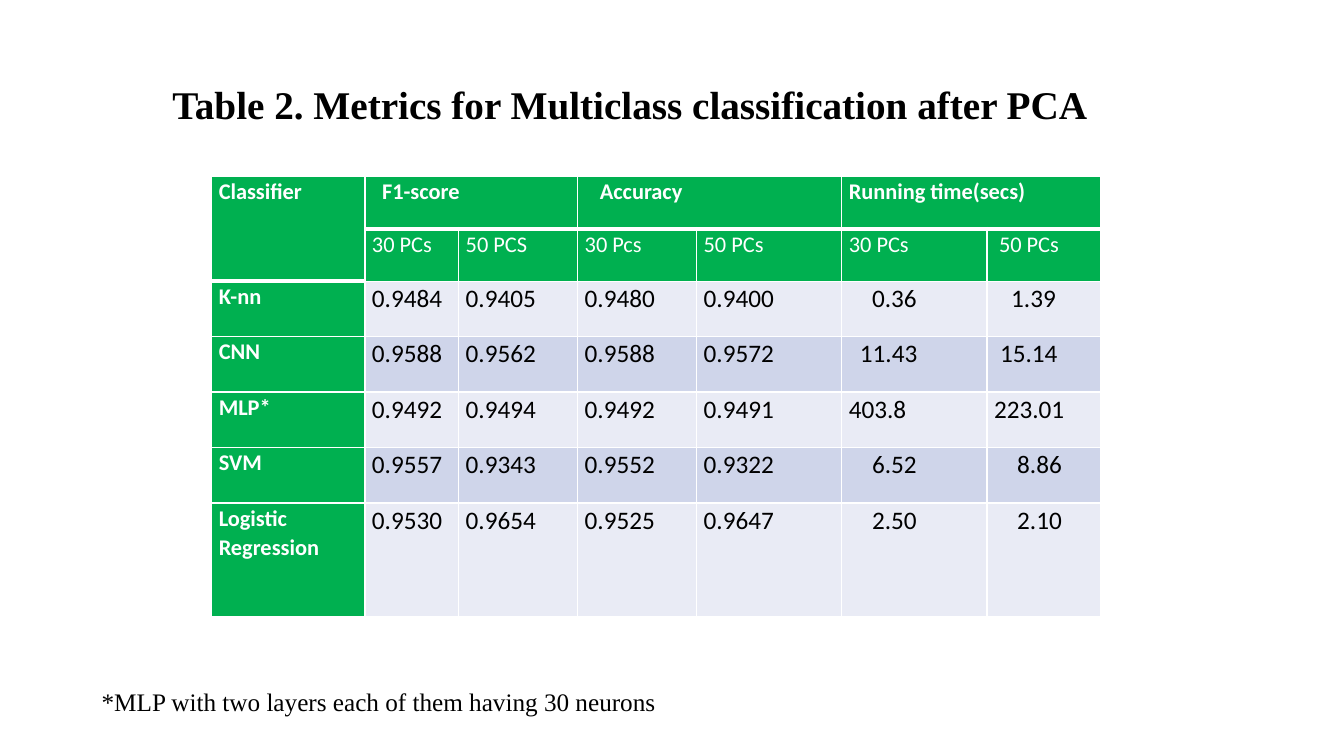
from pptx import Presentation
from pptx import util as u
from pptx.dml.color import RGBColor
from pptx.enum import text
from pptx.oxml import parse_xml
from pptx.oxml.ns import nsdecls

COLORS = {"green": "00B050", "light": "E9EBF5", "dark": "CFD5EA",
          "white": "FFFFFF", "black": "000000"}
COL_WIDTHS = [1.52, 0.93, 1.18, 1.18, 1.44, 1.44, 1.13]
ROW_HEIGHTS = [0.52] * 2 + [0.55] * 4 + [1.13]
ROWS = [
    ["Classifier", "F1-score", "", "Accuracy", "", "Running time(secs)", ""],
    ["", "30 PCs", "50 PCS", "30 Pcs", "50 PCs", "30 PCs", "50 PCs"],
    ["K-nn", "0.9484", "0.9405", "0.9480", "0.9400", "0.36", "1.39"],
    ["CNN", "0.9588", "0.9562", "0.9588", "0.9572", "11.43", "15.14"],
    ["MLP*", "0.9492", "0.9494", "0.9492", "0.9491", "403.8", "223.01"],
    ["SVM", "0.9557", "0.9343", "0.9552", "0.9322", "6.52", "8.86"],
    ["Logistic Regression", "0.9530", "0.9654", "0.9525", "0.9647", "2.50", "2.10"],
]
MERGES = [((0, 0), (1, 0)), ((0, 1), (0, 2)), ((0, 3), (0, 4)), ((0, 5), (0, 6))]
INDENTS = {(0, 1): 0.1, (0, 3): 0.15, (1, 6): 0.05,
           (2, 5): 0.23, (2, 6): 0.17, (3, 5): 0.11, (3, 6): 0.06,
           (5, 5): 0.23, (5, 6): 0.23, (6, 5): 0.23, (6, 6): 0.23}


def rule_below(row, col):
    """Return the width in points of the rule under a cell."""
    return 3 if row == 0 or (row, col) == (1, 0) else 1


class SlideBuilder:
    """Hold the style and the current slide."""

    def __init__(self, prs):
        """Add a title-only slide."""
        self.slide = prs.slides.add_slide(prs.slide_layouts[5])
        self.heading_font = "Times New Roman"
        self.table_font = "Calibri"

    def style_text(self, p, content, font, size, color, bold=False):
        """Fill a paragraph and format its runs."""
        p.text = content
        for r in p.runs:
            r.font.name, r.font.size, r.font.bold = font, u.Pt(size), bold
            r.font.color.rgb = RGBColor.from_string(COLORS[color])

    def justify(self, p):
        """Justify a paragraph with slightly open lines."""
        p.alignment = text.PP_ALIGN.JUSTIFY
        p.line_spacing = 1.07

    def place(self, sp, left, top, width, height):
        """Position a text shape and return its first paragraph."""
        sp.left, sp.top, sp.width, sp.height = map(u.Inches, (left, top, width, height))
        tf = sp.text_frame
        tf.word_wrap = True
        tf.auto_size = text.MSO_AUTO_SIZE.SHAPE_TO_FIT_TEXT
        tf.vertical_anchor = text.MSO_ANCHOR.TOP
        return tf.paragraphs[0]

    def title(self, content, *box):
        """Format the title placeholder."""
        p = self.place(self.slide.shapes.title, *box)
        self.style_text(p, content, self.heading_font, 28, "black", True)
        p.alignment = text.PP_ALIGN.LEFT

    def note(self, content, *box):
        """Add a justified text box."""
        p = self.place(self.slide.shapes.add_textbox(0, 0, 0, 0), *box)
        self.style_text(p, content, self.heading_font, 18, "black")
        self.justify(p)

    def borders(self, cell, row, col):
        """Draw the white rules around a cell."""
        widths = {"L": 1, "R": 1, "T": rule_below(row - 1, col), "B": rule_below(row, col)}
        tc_pr = cell._tc.get_or_add_tcPr()
        for i, (side, width) in enumerate(widths.items()):
            tc_pr.insert(i, parse_xml(
                f'<a:ln{side} {nsdecls("a")} w="{u.Pt(width)}"><a:solidFill>'
                f'<a:srgbClr val="{COLORS["white"]}"/></a:solidFill></a:ln{side}>'))

    def cell(self, cell, content, row, col):
        """Format one table cell by its row and column."""
        header = row < 2 or col == 0
        fill = "green" if header else ("light", "dark")[row % 2]
        cell.fill.solid()
        cell.fill.fore_color.rgb = RGBColor.from_string(COLORS[fill])
        cell.margin_left = cell.margin_right = u.Inches(0.07)
        cell.margin_top = cell.margin_bottom = 0
        self.borders(cell, row, col)
        if content:
            p = cell.text_frame.paragraphs[0]
            self.style_text(p, content, self.table_font, 16 if header else 18,
                            "white" if header else "black", row == 0 or col == 0)
            self.justify(p)
            if (row, col) in INDENTS:
                p._p.get_or_add_pPr().set("marL", str(u.Inches(INDENTS[row, col])))

    def table(self, left, top):
        """Add the metrics table."""
        size = sum(COL_WIDTHS), sum(ROW_HEIGHTS)
        table = self.slide.shapes.add_table(
            len(ROWS), len(COL_WIDTHS), *map(u.Inches, (left, top, *size))).table
        for column, width in zip(table.columns, COL_WIDTHS):
            column.width = u.Inches(width)
        for table_row, height in zip(table.rows, ROW_HEIGHTS):
            table_row.height = u.Inches(height)
        for first, last in MERGES:
            table.cell(*first).merge(table.cell(*last))
        for row, values in enumerate(ROWS):
            for col, content in enumerate(values):
                self.cell(table.cell(row, col), content, row, col)


def main():
    """Build and save the slide."""
    prs = Presentation()
    prs.slide_width, prs.slide_height = u.Inches(13.33), u.Inches(7.5)
    s = SlideBuilder(prs)
    s.title("Table 2. Metrics for Multiclass classification after PCA", 1.61, 0.75, 11.03, 0.57)
    s.note("*MLP with two layers each of them having 30 neurons", 0.91, 6.74, 11.99, 0.41)
    s.table(2.1, 1.75)
    prs.save("out.pptx")


if __name__ == "__main__":
    main()
